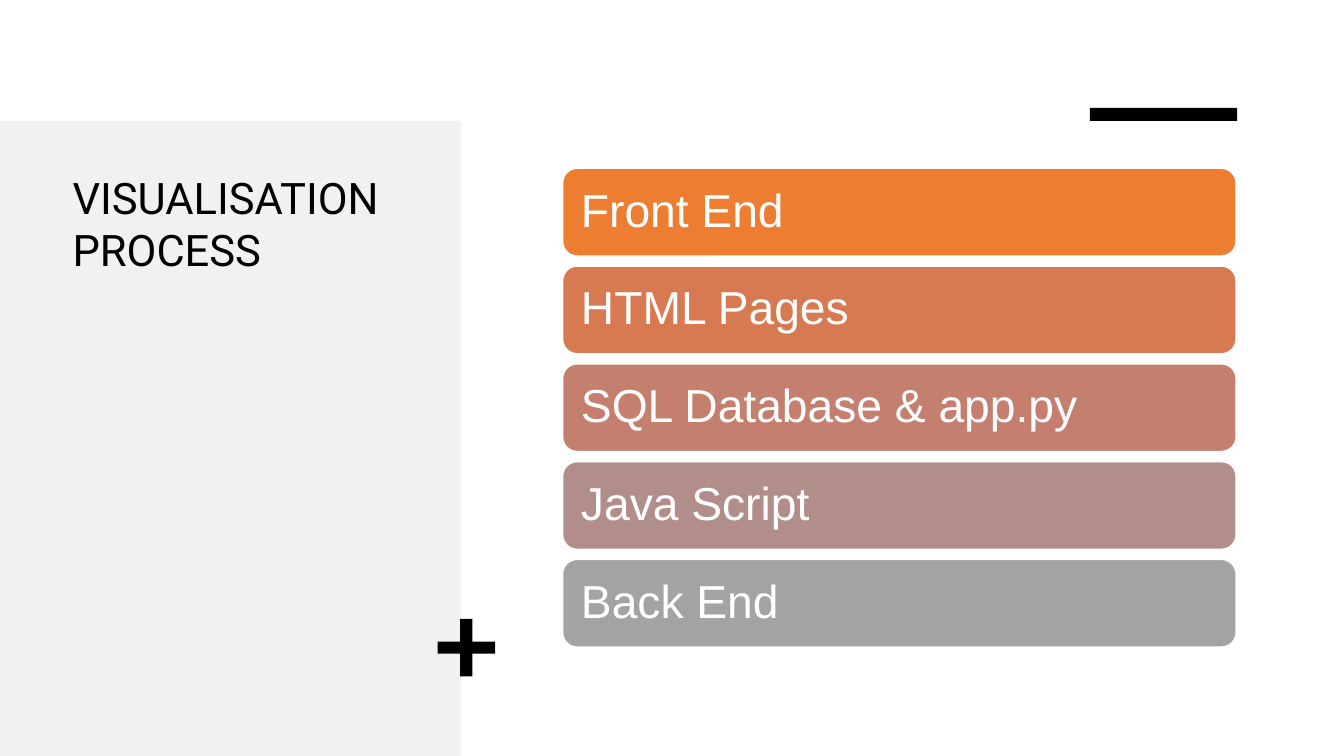
"""Build the visualisation process slide: a side panel and five stacked bars."""
from dataclasses import dataclass
from pptx import Presentation
from pptx.dml.color import RGBColor as Rgb
from pptx.enum.shapes import MSO_SHAPE as Kind
from pptx.enum.text import MSO_ANCHOR as Anchor, MSO_AUTO_SIZE as Fit, PP_ALIGN as Align
from pptx.util import Inches, Pt

TITLE = "VISUALISATION PROCESS"
STEPS = [
    ("Front End", "ED7D31"),
    ("HTML Pages", "D77951"),
    ("SQL Database & app.py", "C47F6E"),
    ("Java Script", "B28E8A"),
    ("Back End", "A3A3A3"),
]


@dataclass(frozen=True)
class Theme:
    ink: str = "000000"
    paper: str = "FFFFFF"
    panel: str = "F2F1F1"
    head: str = "Roboto"
    body: str = "Arial"
    big: int = 31
    step: int = 33


LOOK = Theme()
WIDE, HIGH = 13.33, 7.5
TOP = 1.2
SIDE = (0, TOP, 4.57, HIGH - TOP)
HEAD = (0.62, 1.65, 3.5, 4.4)
DASH = (10.81, TOP - 0.13, 1.46, 0.13)
PLUS = (4.34, 6.14, 0.57, 0.57)
LEFT, FIRST, LONG, TALL, PITCH = 5.58, 1.67, 6.68, 0.87, 0.97
INSET = 0.14


def apply(item, **vals):
    for name, val in vals.items():
        setattr(item, name, val)


def block(slide, kind, box, fill, line=None):
    shape = slide.shapes.add_shape(kind, *map(Inches, box))
    shape.shadow.inherit = False
    shape.fill.solid()
    shape.fill.fore_color.rgb = Rgb.from_string(fill)
    if line:
        shape.line.color.rgb = Rgb.from_string(line)
        shape.line.width = Pt(1)
    else:
        shape.line.fill.background()
    return shape


def write(shape, text, face, size, tint, gap, **frame):
    apply(shape.text_frame, word_wrap=True, auto_size=Fit.NONE, **frame)
    para = shape.text_frame.paragraphs[0]
    apply(para, alignment=Align.LEFT, line_spacing=gap)
    run = para.add_run()
    run.text = text
    apply(run.font, name=face, size=Pt(size), bold=False)
    run.font.color.rgb = Rgb.from_string(tint)


def main():
    deck = Presentation()
    apply(deck, slide_width=Inches(WIDE), slide_height=Inches(HIGH))
    slide = deck.slides.add_slide(deck.slide_layouts[5])
    slide.background.fill.solid()
    slide.background.fill.fore_color.rgb = Rgb.from_string(LOOK.paper)

    title = slide.shapes.title
    apply(title, **dict(zip(("left", "top", "width", "height"), map(Inches, HEAD))))
    write(title, TITLE, LOOK.head, LOOK.big, LOOK.ink, 1.0, vertical_anchor=Anchor.TOP)
    side = block(slide, Kind.RECTANGLE, SIDE, LOOK.panel)
    title.element.addprevious(side.element)

    block(slide, Kind.RECTANGLE, DASH, LOOK.ink)
    plus = block(slide, Kind.CROSS, PLUS, LOOK.ink)
    plus.adjustments[0] = 0.395

    pads = {f"margin_{edge}": Inches(INSET) for edge in ("left", "top", "right", "bottom")}
    for row, (text, fill) in enumerate(STEPS):
        box = (LEFT, FIRST + row * PITCH, LONG, TALL)
        bar = block(slide, Kind.ROUNDED_RECTANGLE, box, fill, LOOK.paper)
        write(bar, text, LOOK.body, LOOK.step, LOOK.paper, 0.9,
              vertical_anchor=Anchor.MIDDLE, **pads)

    deck.save("out.pptx")


if __name__ == "__main__":
    main()
